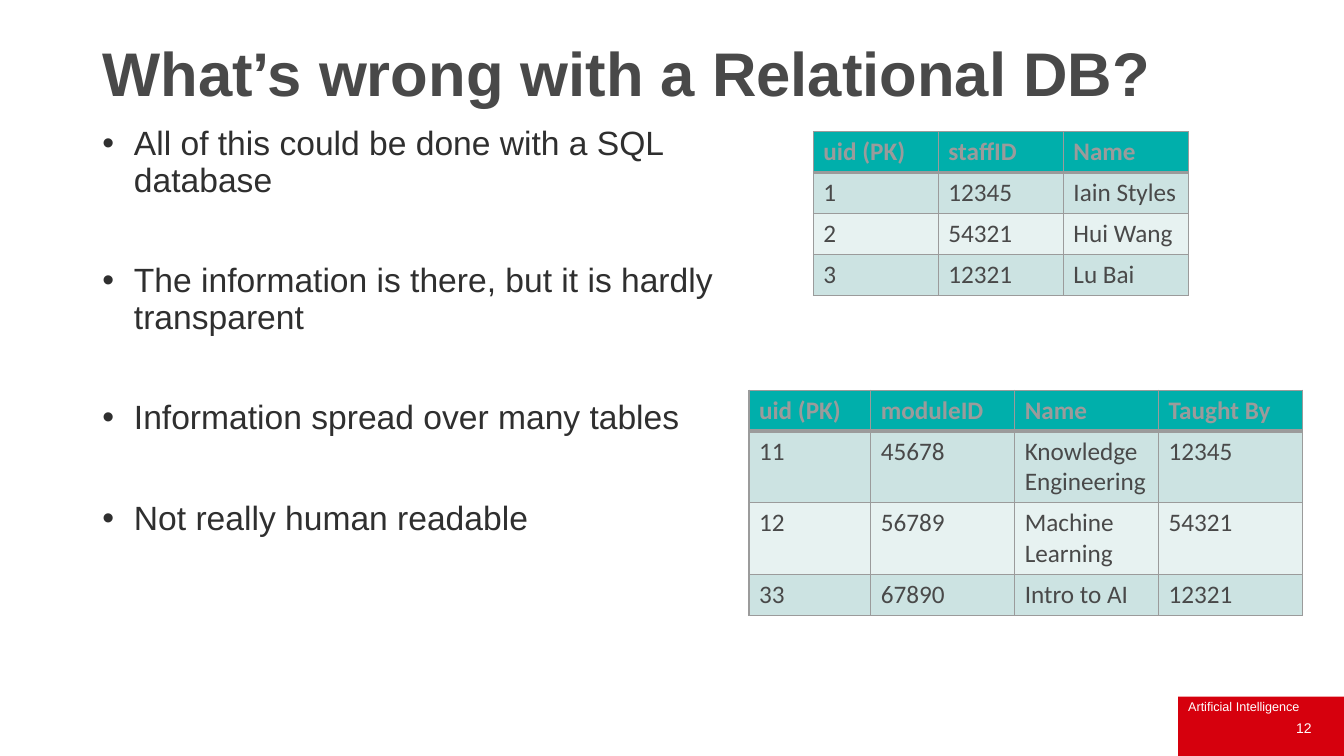
import lxml.etree
import pptx
import pptx.dml.color
import pptx.enum.shapes
import pptx.enum.text
import pptx.oxml.ns
import pptx.util

Pt = pptx.util.Pt
Align = pptx.enum.text.PP_ALIGN
Anchor = pptx.enum.text.MSO_ANCHOR

COLORS = {
    "white": "FFFFFF",
    "red": "D6000D",
    "title": "494949",
    "body": "2F2F2F",
    "border": "9B9B9B",
    "header": "00AFAB",
    "odd row": "CCE3E2",
    "even row": "E7F2F1",
}

BULLETS = [
    "All of this could be done with a SQL database",
    "The information is there, but it is hardly transparent",
    "Information spread over many tables",
    "Not really human readable",
]
STAFF = [
    ["uid (PK)", "staffID", "Name"],
    ["1", "12345", "Iain Styles"],
    ["2", "54321", "Hui Wang"],
    ["3", "12321", "Lu Bai"],
]
MODULES = [
    ["uid (PK)", "moduleID", "Name", "Taught By"],
    ["11", "45678", "Knowledge Engineering", "12345"],
    ["12", "56789", "Machine Learning", "54321"],
    ["33", "67890", "Intro to AI", "12321"],
]
ROW = 29.2
TALL_ROW = 51.2


def rgb(name):
    return pptx.dml.color.RGBColor.from_string(COLORS[name])


def write(paragraph, text, size, color, font="Arial", bold=False, align=Align.LEFT,
          line_spacing=None, space_before=0):
    paragraph.text = text
    paragraph.alignment = align
    paragraph.space_before = Pt(space_before)
    if line_spacing:
        paragraph.line_spacing = line_spacing
    paragraph.font.name = font
    paragraph.font.size = Pt(size)
    paragraph.font.bold = bold
    paragraph.font.color.rgb = rgb(color)


def place(shape, left, top, width, height):
    shape.left, shape.top = Pt(left), Pt(top)
    shape.width, shape.height = Pt(width), Pt(height)


def prepare_frame(shape, anchor):
    frame = shape.text_frame
    frame.word_wrap = True
    frame.auto_size = pptx.enum.text.MSO_AUTO_SIZE.NONE
    frame.vertical_anchor = anchor
    return frame


def add_bullet(paragraph, indent):
    properties = paragraph._p.get_or_add_pPr()
    properties.set("marL", str(Pt(indent)))
    properties.set("indent", str(-Pt(indent)))
    lxml.etree.SubElement(properties, pptx.oxml.ns.qn("a:buChar"), char="•")


def add_title(slide, text):
    title = slide.shapes.title
    place(title, 66, 30, 783, 50)
    frame = prepare_frame(title, Anchor.MIDDLE)
    write(frame.paragraphs[0], text, 44, "title", bold=True, line_spacing=0.9)


def add_bullet_list(slide, items):
    body = slide.placeholders[1]
    place(body, 66, 87, 458, 385)
    frame = prepare_frame(body, Anchor.TOP)
    for index, item in enumerate(items):
        paragraph = frame.add_paragraph() if index else frame.paragraphs[0]
        add_bullet(paragraph, 22.5)
        write(paragraph, item, 24, "body", line_spacing=0.9, space_before=46 if index else 0)


def add_label(slide, text, box, anchor=Anchor.TOP, **text_format):
    label = slide.shapes.add_textbox(*map(Pt, box))
    frame = prepare_frame(label, anchor)
    write(frame.paragraphs[0], text, color="white", **text_format)


def add_footer_block(slide):
    block = slide.shapes.add_shape(pptx.enum.shapes.MSO_SHAPE.RECTANGLE,
                                   Pt(841.6), Pt(497.5), Pt(118.4), Pt(42.5))
    block.shadow.inherit = False
    block.fill.solid()
    block.fill.fore_color.rgb = rgb("red")
    block.line.fill.background()


def set_borders(cell, **widths):
    properties = cell._tc.get_or_add_tcPr()
    for side in "LRTB":
        line = lxml.etree.SubElement(properties, pptx.oxml.ns.qn(f"a:ln{side}"),
                                     w=str(Pt(widths.get(side, 1))))
        fill = lxml.etree.SubElement(line, pptx.oxml.ns.qn("a:solidFill"))
        lxml.etree.SubElement(fill, pptx.oxml.ns.qn("a:srgbClr"), val=COLORS["border"])


def format_cell(cell, text, row):
    # Borders must precede the fill in the cell properties.
    if row == 0:
        set_borders(cell, B=3)
        fill_color, text_color = "header", "border"
    else:
        set_borders(cell, T=3 if row == 1 else 1)
        fill_color, text_color = "odd row" if row % 2 else "even row", "title"
    cell.fill.solid()
    cell.fill.fore_color.rgb = rgb(fill_color)
    write(cell.text_frame.paragraphs[0], text, 18, text_color, font="Calibri", bold=row == 0)


def add_data_table(slide, rows, left, top, column_widths, row_heights):
    frame = slide.shapes.add_table(len(rows), len(column_widths), Pt(left), Pt(top),
                                   Pt(sum(column_widths)), Pt(sum(row_heights)))
    table = frame.table
    for column, width in zip(table.columns, column_widths):
        column.width = Pt(width)
    for row, height in zip(table.rows, row_heights):
        row.height = Pt(height)
    for row_index, values in enumerate(rows):
        for column_index, value in enumerate(values):
            format_cell(table.cell(row_index, column_index), value, row_index)


def main():
    presentation = pptx.Presentation()
    presentation.slide_width, presentation.slide_height = Pt(960), Pt(540)
    slide = presentation.slides.add_slide(presentation.slide_layouts[1])
    add_footer_block(slide)
    add_label(slide, "Artificial Intelligence", (841.6, 495.5, 110, 18), size=9)
    add_title(slide, "What’s wrong with a Relational DB?")
    add_bullet_list(slide, BULLETS)
    add_label(slide, "12", (728, 505.5, 216, 29), Anchor.MIDDLE, size=10, align=Align.RIGHT)
    add_data_table(slide, STAFF, 581, 94, [89.3] * 3, [ROW] * 4)
    add_data_table(slide, MODULES, 535, 278.8, [87] + [102.8] * 3,
                   [ROW, TALL_ROW, TALL_ROW, ROW])
    presentation.save("out.pptx")


if __name__ == "__main__":
    main()
